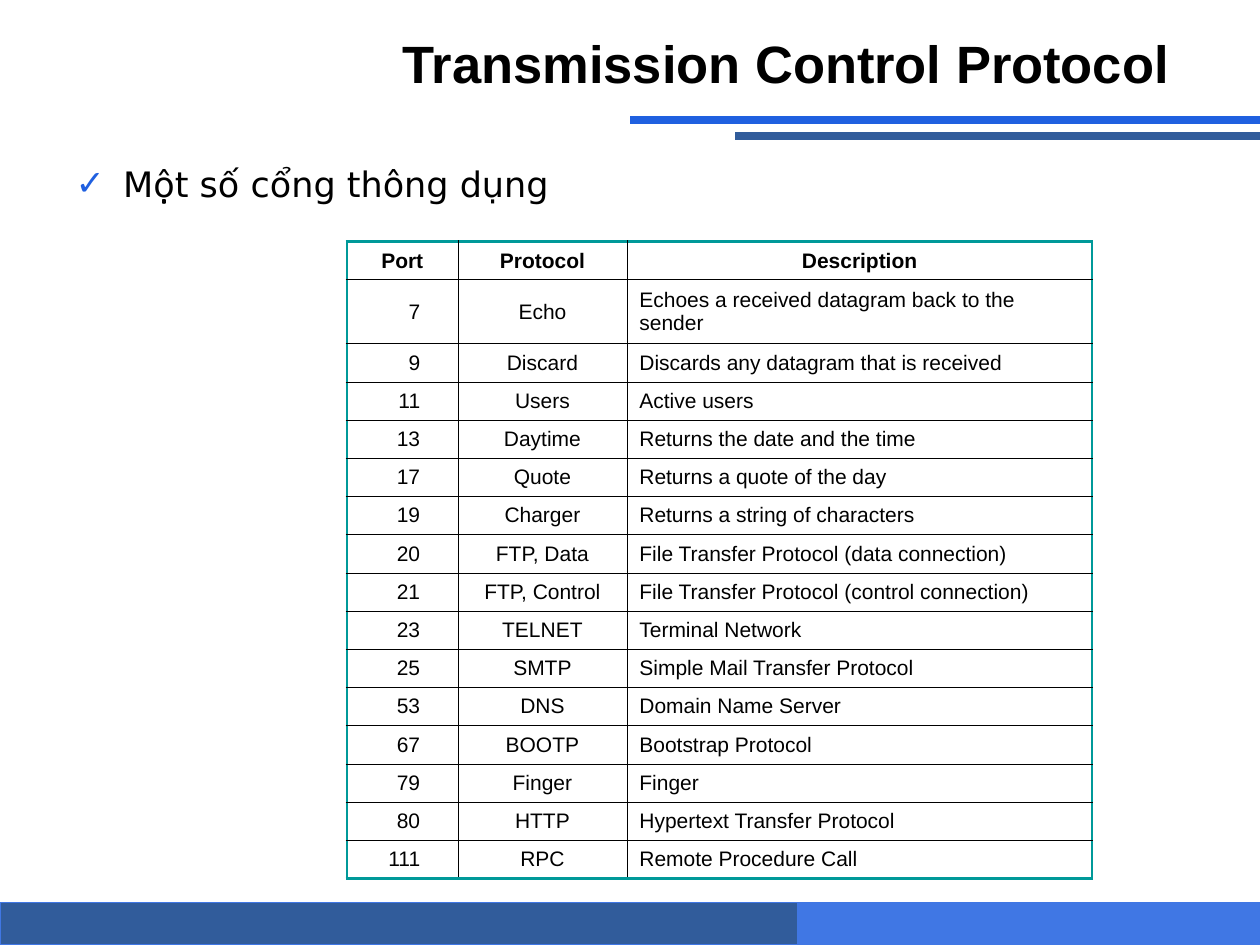
from dataclasses import dataclass

from lxml.etree import SubElement
from pptx import Presentation
from pptx.dml.color import RGBColor as Rgb
from pptx.enum.shapes import MSO_CONNECTOR as Connector, MSO_SHAPE as Shape
from pptx.enum.text import MSO_ANCHOR as Anchor, MSO_AUTO_SIZE as AutoSize, PP_ALIGN as Align
from pptx.oxml.ns import qn
from pptx.util import Cm, Pt


@dataclass(frozen=True)
class Theme:
    """Colours, fonts, type sizes and line widths of the slide."""
    ink: str = "000000"
    bright: str = "2060E0"
    sky: str = "4077E4"
    navy: str = "315C9B"
    frame: str = "009999"
    font: str = "Arial"
    list_font: str = "DejaVu Sans"
    title_size: float = 30
    list_size: float = 20
    table_size: float = 12
    frame_width: float = 1.47
    grid_width: float = 0.45
    bar_width: float = 0.75
    rule_width: float = 4.5


THEME = Theme()
SLIDE_WIDTH, SLIDE_HEIGHT = 25.4, 19.05
COLUMN_WIDTHS = (2.24, 3.41, 9.38)
ROW_HEIGHT, TWO_LINE_HEIGHT = 0.77, 1.29
HEADINGS = ("Port", "Protocol", "Description")
PORTS = (
    ("7", "Echo", "Echoes a received datagram back to the sender"),
    ("9", "Discard", "Discards any datagram that is received"),
    ("11", "Users", "Active users"),
    ("13", "Daytime", "Returns the date and the time"),
    ("17", "Quote", "Returns a quote of the day"),
    ("19", "Charger", "Returns a string of characters"),
    ("20", "FTP, Data", "File Transfer Protocol (data connection)"),
    ("21", "FTP, Control", "File Transfer Protocol (control connection)"),
    ("23", "TELNET", "Terminal Network"),
    ("25", "SMTP", "Simple Mail Transfer Protocol"),
    ("53", "DNS", "Domain Name Server"),
    ("67", "BOOTP", "Bootstrap Protocol"),
    ("79", "Finger", "Finger"),
    ("80", "HTTP", "Hypertext Transfer Protocol"),
    ("111", "RPC", "Remote Procedure Call"),
)


def apply(target, formats):
    """Set each named format value on the target."""
    for name, value in formats.items():
        setattr(target, name, value)


def write(paragraph, text, size, font=THEME.font, bold=False):
    """Put one run of formatted text in a paragraph."""
    run = paragraph.add_run()
    run.text = text
    apply(run.font, {"name": font, "size": Pt(size), "bold": bold})
    run.font.color.rgb = Rgb.from_string(THEME.ink)


def place(placeholder, left, top, width, height):
    """Move a placeholder and fix its text frame."""
    apply(placeholder, {"left": Cm(left), "top": Cm(top),
                        "width": Cm(width), "height": Cm(height)})
    apply(placeholder.text_frame, {"word_wrap": True, "auto_size": AutoSize.NONE})
    return placeholder.text_frame


def add_title(slide, text):
    """Write the right-aligned title."""
    frame = place(slide.shapes.title, 1.27, 0.42, 22.86, 1.7)
    apply(frame, {"vertical_anchor": Anchor.MIDDLE, "margin_right": Cm(0.55)})
    heading = frame.paragraphs[0]
    heading.alignment = Align.RIGHT
    write(heading, text, THEME.title_size, bold=True)


def add_check_item(slide, text):
    """Write the list item with its check mark."""
    frame = place(slide.placeholders[1], 1.27, 2.97, 22.86, 14.4)
    frame.vertical_anchor = Anchor.TOP
    item = frame.paragraphs[0]
    apply(item, {"line_spacing": 1.2, "space_before": Pt(0)})
    properties = item._p.get_or_add_pPr()
    properties.set("marL", str(Cm(0.96)))
    properties.set("indent", str(Cm(-0.96)))
    bullet_colour = SubElement(properties, qn("a:buClr"))
    SubElement(bullet_colour, qn("a:srgbClr"), val=THEME.bright)
    SubElement(properties, qn("a:buFont"), typeface=THEME.list_font)
    SubElement(properties, qn("a:buChar"), char="✓")
    write(item, text, THEME.list_size, THEME.list_font)


def add_footer_bar(slide, left, width, colour):
    """Draw one coloured bar along the bottom edge."""
    height = 0.85
    bar = slide.shapes.add_shape(Shape.RECTANGLE, Cm(left), Cm(SLIDE_HEIGHT - height),
                                 Cm(width), Cm(height))
    bar.shadow.inherit = False
    bar.fill.solid()
    bar.fill.fore_color.rgb = Rgb.from_string(colour)
    bar.line.color.rgb = Rgb.from_string(THEME.sky)
    bar.line.width = Pt(THEME.bar_width)


def add_title_rule(slide, left, top, colour):
    """Draw a thick rule from the right edge of the slide."""
    rule = slide.shapes.add_connector(Connector.STRAIGHT, Cm(SLIDE_WIDTH), Cm(top),
                                      Cm(left), Cm(top))
    rule.line.color.rgb = Rgb.from_string(colour)
    rule.line.width = Pt(THEME.rule_width)
    SubElement(rule._element.spPr, qn("a:effectLst"))


def set_borders(cell, outer_sides):
    """Give a cell thin grid lines, with the frame on its outer sides."""
    properties = cell._tc.get_or_add_tcPr()
    for side in "LRTB":
        outer = side in outer_sides
        width = THEME.frame_width if outer else THEME.grid_width
        border = SubElement(properties, qn(f"a:ln{side}"), w=str(Pt(width)))
        fill = SubElement(border, qn("a:solidFill"))
        SubElement(fill, qn("a:srgbClr"), val=THEME.frame if outer else THEME.ink)


def add_port_table(slide):
    """Build the framed table of well-known ports."""
    rows = (HEADINGS, *PORTS)
    heights = [TWO_LINE_HEIGHT if number == 1 else ROW_HEIGHT for number in range(len(rows))]
    table = slide.shapes.add_table(len(rows), len(HEADINGS), Cm(6.99), Cm(4.87),
                                   Cm(sum(COLUMN_WIDTHS)), Cm(sum(heights))).table
    apply(table, {"first_row": False, "horz_banding": False})
    for column, width in zip(table.columns, COLUMN_WIDTHS):
        column.width = Cm(width)
    for row, height in zip(table.rows, heights):
        row.height = Cm(height)
    body_alignments = (Align.RIGHT, Align.CENTER, Align.LEFT)
    for r, entries in enumerate(rows):
        for c, text in enumerate(entries):
            cell = table.cell(r, c)
            edges = {"L": c == 0, "R": c == len(HEADINGS) - 1,
                     "T": r == 0, "B": r == len(rows) - 1}
            set_borders(cell, [side for side, outer in edges.items() if outer])
            cell.fill.background()
            is_port = r > 0 and c == 0
            apply(cell, {"vertical_anchor": Anchor.MIDDLE,
                         "margin_left": Cm(0.25), "margin_right": Cm(0.76 if is_port else 0.25),
                         "margin_top": Cm(0.13), "margin_bottom": Cm(0.13)})
            entry = cell.text_frame.paragraphs[0]
            entry.alignment = body_alignments[c] if r else Align.CENTER
            write(entry, text, THEME.table_size, bold=r == 0)


def main():
    """Build the slide and save it."""
    deck = Presentation()
    apply(deck, {"slide_width": Cm(SLIDE_WIDTH), "slide_height": Cm(SLIDE_HEIGHT)})
    slide = deck.slides.add_slide(deck.slide_layouts[1])
    add_footer_bar(slide, 12.7, 12.7, THEME.sky)
    add_footer_bar(slide, 0, 16.09, THEME.navy)
    add_title_rule(slide, 12.7, 2.42, THEME.bright)
    add_title_rule(slide, 14.82, 2.75, THEME.navy)
    add_title(slide, "Transmission Control Protocol")
    add_check_item(slide, "Một số cổng thông dụng")
    add_port_table(slide)
    deck.save("out.pptx")


if __name__ == "__main__":
    main()
